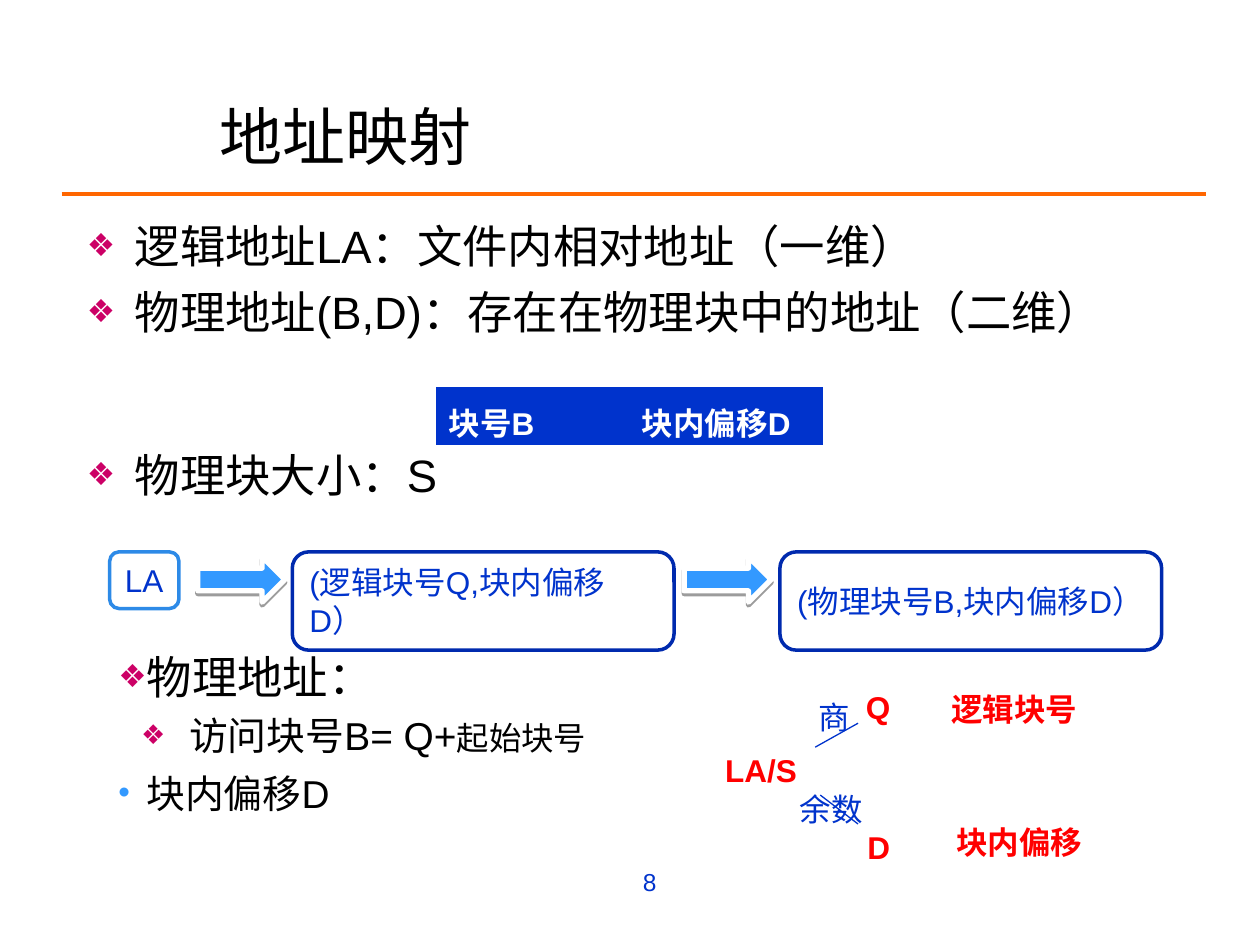
from dataclasses import dataclass

from lxml.etree import SubElement
from pptx import Presentation
from pptx.dml.color import RGBColor
from pptx.enum.shapes import MSO_CONNECTOR, MSO_SHAPE
from pptx.enum.text import MSO_ANCHOR, MSO_AUTO_SIZE, PP_ALIGN
from pptx.oxml.ns import qn
from pptx.util import Inches, Pt


@dataclass(frozen=True)
class Theme:
    face: str = "Arial"
    black: str = "000000"
    white: str = "FFFFFF"
    blue: str = "0033CC"
    navy: str = "002AAE"
    sky: str = "3399FF"
    azure: str = "2D8AE7"
    red: str = "FF0000"
    pink: str = "CC0066"
    orange: str = "FF6600"
    title: float = 36
    main: float = 25.9
    sub: float = 22.2
    small: float = 18.5
    label: float = 18
    page: float = 14


def apply(item, values):
    for key, value in values.items():
        setattr(item, key, value)


class Deck:
    def __init__(self, theme):
        self.theme = theme
        self.deck = Presentation()
        apply(self.deck, {"slide_width": Inches(10), "slide_height": Inches(7.5)})
        self.slide = self.deck.slides.add_slide(self.deck.slide_layouts[1])
        self.shapes = self.slide.shapes

    def place(self, shape, box):
        names = ("left", "top", "width", "height")
        apply(shape, dict(zip(names, map(Inches, box))))

    def font(self, font, size, color, bold=False):
        apply(font, {"name": self.theme.face, "size": Pt(size), "bold": bold})
        font.color.rgb = RGBColor.from_string(color)

    def fill_text(self, frame, text, color, size=None, bold=False, align=PP_ALIGN.LEFT, wrap=True):
        apply(frame, {
            "text": text, "word_wrap": wrap,
            "vertical_anchor": MSO_ANCHOR.MIDDLE, "auto_size": MSO_AUTO_SIZE.NONE,
        })
        para = frame.paragraphs[0]
        para.alignment = align
        self.font(para.runs[0].font, size or self.theme.label, color, bold)

    def title(self, box, text):
        shape = self.shapes.title
        self.place(shape, box)
        self.fill_text(shape.text_frame, text, self.theme.black, self.theme.title)

    def bullet(self, para, mark, color, scale, left, hang):
        props = para._p.get_or_add_pPr()
        props.set("marL", str(Inches(left)))
        props.set("indent", str(-Inches(hang)))
        SubElement(SubElement(props, qn("a:buClr")), qn("a:srgbClr"), val=color)
        SubElement(props, qn("a:buSzPct"), val=str(scale * 1000))
        SubElement(props, qn("a:buFont"), typeface=self.theme.face)
        SubElement(props, qn("a:buChar"), char=mark)

    def body(self, box, rows):
        shape = self.slide.placeholders[1]
        self.place(shape, box)
        frame = shape.text_frame
        apply(frame, {"auto_size": MSO_AUTO_SIZE.NONE, "word_wrap": True})
        for num, (level, gap, style, runs) in enumerate(rows):
            para = frame.paragraphs[0] if num == 0 else frame.add_paragraph()
            self.bullet(para, *style)
            apply(para, {"level": level, "space_before": Pt(gap)})
            for text, size in runs:
                run = para.add_run()
                run.text = text
                self.font(run.font, size, self.theme.black)

    def label(self, box, text, color, **look):
        shape = self.shapes.add_textbox(*map(Inches, box))
        self.fill_text(shape.text_frame, text, color, **look)

    def line(self, start, end, color, width):
        link = self.shapes.add_connector(
            MSO_CONNECTOR.STRAIGHT, *map(Inches, start + end))
        link.line.color.rgb = RGBColor.from_string(color)
        link.line.width = Pt(width)
        SubElement(link._element.spPr, qn("a:effectLst"))

    def block(self, kind, box, fill, edge, width):
        shape = self.shapes.add_shape(kind, *map(Inches, box))
        shape.shadow.inherit = False
        shape.fill.solid()
        shape.fill.fore_color.rgb = RGBColor.from_string(fill)
        shape.line.color.rgb = RGBColor.from_string(edge)
        shape.line.width = Pt(width)
        return shape

    def card(self, box, text, edge, wrap=True):
        shape = self.block(MSO_SHAPE.ROUNDED_RECTANGLE, box, self.theme.white, edge, 2)
        self.fill_text(shape.text_frame, text, self.theme.blue, wrap=wrap)

    def arrow(self, box):
        shape = self.block(MSO_SHAPE.RIGHT_ARROW, box, self.theme.sky, self.theme.white, 3)
        effect = shape._element.spPr.find(qn("a:effectLst"))
        shade = SubElement(effect, qn("a:outerShdw"), dist=str(Pt(1.6)),
                           dir="5400000", rotWithShape="0")
        color = SubElement(shade, qn("a:srgbClr"), val=self.theme.black)
        SubElement(color, qn("a:alpha"), val="38000")

    def table(self, box, rows):
        grid = self.shapes.add_table(len(rows), len(rows[0]), *map(Inches, box)).table
        apply(grid, {"first_row": False, "horz_banding": False})
        grid._tbl.tblPr[0].text = "{2D5ABB26-0587-4C30-8999-92F81FD0307C}"
        for y, row in enumerate(rows):
            for x, text in enumerate(row):
                cell = grid.cell(y, x)
                cell.fill.solid()
                cell.fill.fore_color.rgb = RGBColor.from_string(self.theme.blue)
                apply(cell, {"text": text, "margin_top": Inches(0.1), "margin_bottom": 0})
                self.font(cell.text_frame.paragraphs[0].runs[0].font,
                          self.theme.label, self.theme.white, True)


def main():
    theme = Theme()
    deck = Deck(theme)
    top = ("❖", theme.pink, 70, 0.38, 0.38)
    head = ("❖", theme.pink, 70, 0.47, 0.22)
    deep = ("❖", theme.pink, 70, 0.81, 0.38)
    dot = ("•", theme.sky, 85, 0.47, 0.22)

    deck.line((0.49, 1.54), (9.57, 1.54), theme.orange, 2.25)
    deck.title((1.64, 0.75, 7.26, 0.64), "地址映射")
    deck.body((0.59, 1.68, 9, 4.95), [
        (0, 0, top, [("逻辑地址LA：文件内相对地址（一维）", theme.main)]),
        (0, 7, top, [("物理地址(B,D)：存在在物理块中的地址（二维）", theme.main)]),
        (0, 62, top, [("物理块大小：S", theme.main)]),
        (1, 84, head, [("物理地址：", theme.main)]),
        (2, 5, deep, [("访问块号B= Q+", theme.sub), ("起始块号", theme.small)]),
        (1, 6, dot, [("块内偏移D", theme.sub)]),
    ])
    deck.label((2.8, 6.8, 2.51, 0.4), "8", theme.blue, size=theme.page, align=PP_ALIGN.RIGHT)

    for box, text in [
        ((5.35, 5.91, 1.38, 0.4), "LA/S"),
        ((6.53, 5.41, 0.88, 0.4), "Q"),
        ((6.63, 6.52, 0.69, 0.4), "D"),
    ]:
        deck.label(box, text, theme.red, bold=True, align=PP_ALIGN.CENTER)
    deck.line((6.47, 5.93), (6.81, 5.74), theme.blue, 0.75)
    deck.line((6.51, 6.31), (6.81, 6.54), theme.blue, 0.75)

    deck.table((3.46, 3.07, 3.07, 0.41), [["块号B", "块内偏移D"]])

    deck.card((0.87, 4.38, 0.55, 0.45), "LA", theme.azure, wrap=False)
    for left, gap, text in [
        (1.57, 0.75, "(逻辑块号Q,块内偏移D）"),
        (5.43, 0.76, "(物理块号B,块内偏移D）"),
    ]:
        deck.arrow((left, 4.42, 0.69, 0.36))
        deck.card((left + gap, 4.38, 3.03, 0.78), text, theme.navy)

    deck.label((7.45, 5.43, 1.29, 0.4), "逻辑块号", theme.red, bold=True)
    deck.label((7.49, 6.48, 1.29, 0.4), "块内偏移", theme.red, bold=True)
    deck.label((6.4, 5.49, 0.46, 0.4), "商", theme.blue)
    deck.label((6.25, 6.22, 0.82, 0.4), "余数", theme.blue)
    deck.deck.save("out.pptx")


if __name__ == "__main__":
    main()
